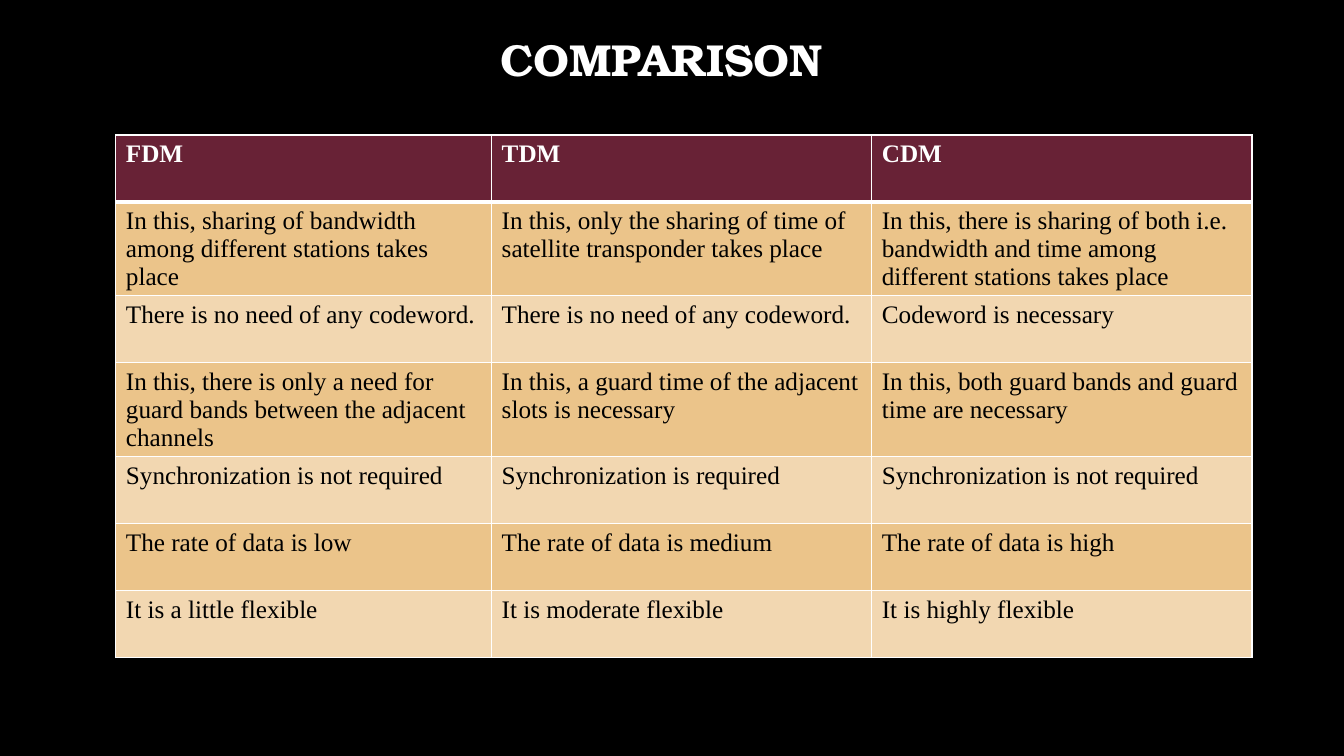
from lxml import etree
from pptx import Presentation
from pptx.dml.color import RGBColor
from pptx.enum.text import MSO_ANCHOR, MSO_AUTO_SIZE, PP_ALIGN
from pptx.oxml.ns import qn
from pptx.util import Cm, Pt

CENTER = PP_ALIGN.CENTER
LEFT = PP_ALIGN.LEFT
MIDDLE = MSO_ANCHOR.MIDDLE
NO_AUTOFIT = MSO_AUTO_SIZE.NONE
TITLE_ONLY = 5

COLORS = {
    "background": "000000",
    "light_text": "FFFFFF",
    "dark_text": "000000",
    "border": "FFFFFF",
    "header": "682236",
    "odd_row": "EBC48A",
    "even_row": "F2D7B1",
}
TITLE_FONT = "TeX Gyre Bonum"
TABLE_FONT = "Times New Roman"
COLUMN_WIDTHS = [9.47, 9.58, 9.58]
COMPARISON = [
    ["FDM", "TDM", "CDM"],
    ["In this, sharing of bandwidth among different stations takes place",
     "In this, only the sharing of time of satellite transponder takes place",
     "In this, there is sharing of both i.e. bandwidth and time among different stations takes place"],
    ["There is no need of any codeword.", "There is no need of any codeword.",
     "Codeword is necessary"],
    ["In this, there is only a need for guard bands between the adjacent channels",
     "In this, a guard time of the adjacent slots is necessary",
     "In this, both guard bands and guard time are necessary"],
    ["Synchronization is not required", "Synchronization is required",
     "Synchronization is not required"],
    ["The rate of data is low", "The rate of data is medium", "The rate of data is high"],
    ["It is a little flexible", "It is moderate flexible", "It is highly flexible"],
]


def color(name):
    """Return the named colour of the slide."""
    return RGBColor.from_string(COLORS[name])


def write_text(text_frame, text, font, size, fill, bold=False, align=LEFT, spacing=1.0):
    """Write one formatted paragraph into a text frame."""
    paragraph = text_frame.paragraphs[0]
    paragraph.alignment = align
    paragraph.line_spacing = spacing
    run = paragraph.add_run()
    run.text = text
    run.font.name = font
    run.font.size = Pt(size)
    run.font.bold = bold
    run.font.color.rgb = color(fill)


def set_borders(cell, top=1, bottom=1):
    """Draw the four cell borders with widths in points."""
    properties = cell._tc.get_or_add_tcPr()
    widths = {"a:lnL": 1, "a:lnR": 1, "a:lnT": top, "a:lnB": bottom}
    for position, (tag, width) in enumerate(widths.items()):
        line = etree.Element(qn(tag), w=str(Pt(width)))
        fill = etree.SubElement(line, qn("a:solidFill"))
        etree.SubElement(fill, qn("a:srgbClr"), val=COLORS["border"])
        properties.insert(position, line)


def add_title(slide, text, left, top, width, height):
    """Place and format the slide title."""
    title = slide.shapes.title
    title.left, title.top, title.width, title.height = left, top, width, height
    title.text_frame.auto_size = NO_AUTOFIT
    title.text_frame.vertical_anchor = MIDDLE
    write_text(title.text_frame, text, TITLE_FONT, 32, "light_text",
               bold=True, align=CENTER, spacing=0.9)


def add_comparison_table(slide, rows, left, top, width, height):
    """Add the table with a header row and alternating row fills."""
    frame = slide.shapes.add_table(len(rows), len(rows[0]), left, top, width, height)
    table = frame.table
    for column, column_width in zip(table.columns, COLUMN_WIDTHS):
        column.width = Cm(column_width)
    for row_index, row in enumerate(rows):
        is_header = row_index == 0
        fill = "header" if is_header else "odd_row" if row_index % 2 else "even_row"
        for column_index, text in enumerate(row):
            cell = table.cell(row_index, column_index)
            cell.fill.solid()
            cell.fill.fore_color.rgb = color(fill)
            set_borders(cell, top=3 if row_index == 1 else 1, bottom=3 if is_header else 1)
            write_text(cell.text_frame, text, TABLE_FONT, 18,
                       "light_text" if is_header else "dark_text", bold=is_header)


def main():
    """Build and save the comparison slide."""
    presentation = Presentation()
    presentation.slide_width = Cm(33.87)
    presentation.slide_height = Cm(19.05)
    slide = presentation.slides.add_slide(presentation.slide_layouts[TITLE_ONLY])
    slide.background.fill.solid()
    slide.background.fill.fore_color.rgb = color("background")
    add_title(slide, "COMPARISON", Cm(2.31), Cm(-0.28), Cm(28.75), Cm(3.68))
    add_comparison_table(slide, COMPARISON, Cm(2.92), Cm(3.4),
                         Cm(sum(COLUMN_WIDTHS)), Cm(1.69 * len(COMPARISON)))
    presentation.save("out.pptx")


if __name__ == "__main__":
    main()
